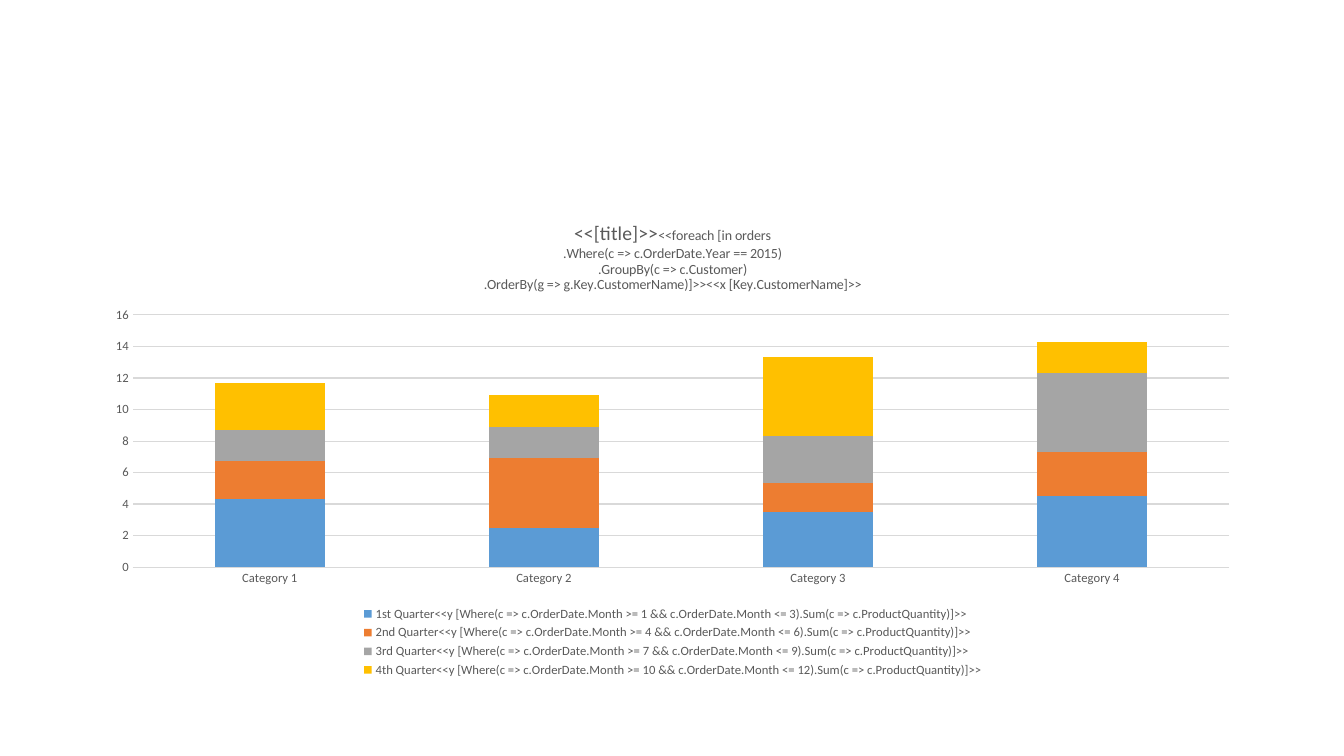
from pptx import Presentation
from pptx.chart.data import CategoryChartData
from pptx.dml.color import RGBColor
from pptx.enum.chart import XL_CHART_TYPE as ChartType
from pptx.enum.chart import XL_LEGEND_POSITION as LegendPosition
from pptx.enum.chart import XL_TICK_MARK as TickMark
from pptx.util import Inches, Pt

TEXT_COLOR = "595959"
LINE_COLOR = "D9D9D9"
CATEGORIES = [f"Category {number}" for number in range(1, 5)]
QUARTERS = [
    ("1st", (4.3, 2.5, 3.5, 4.5), "5B9BD5"),
    ("2nd", (2.4, 4.4, 1.8, 2.8), "ED7D31"),
    ("3rd", (2, 2, 3, 5), "A5A5A5"),
    ("4th", (3, 2, 5, 2), "FFC000"),
]
TITLE_LINES = [
    [("<<[title]>>", 14), ("<<foreach [in orders", 10)],
    [(".Where(c => c.OrderDate.Year == 2015)", 10)],
    [(".GroupBy(c => c.Customer)", 10)],
    [(".OrderBy(g => g.Key.CustomerName)]>><<x [Key.CustomerName]>>", 10)],
]


def rgb(color):
    """Return the colour for a hex string."""
    return RGBColor.from_string(color)


def format_font(font, size=9, color=TEXT_COLOR):
    """Set typeface, size, weight and colour of a font."""
    font.name = "Calibri"
    font.size = Pt(size)
    font.bold = False
    font.color.rgb = rgb(color)


def add_text(paragraph, text, **font_format):
    """Append a formatted run to a paragraph."""
    run = paragraph.add_run()
    run.text = text
    format_font(run.font, **font_format)


def format_line(line):
    """Give a line the pale grey of axis and grid."""
    line.color.rgb = rgb(LINE_COLOR)
    line.width = Pt(0.75)


def quarter_name(index, ordinal):
    """Return the template expression that names a quarter."""
    first, last = 3 * index + 1, 3 * index + 3
    return (f"{ordinal} Quarter<<y [Where(c => c.OrderDate.Month >= {first} && "
            f"c.OrderDate.Month <= {last}).Sum(c => c.ProductQuantity)]>>")


def add_title(chart):
    """Write the chart title line by line."""
    chart.has_title = True
    chart.chart_title.include_in_layout = False
    frame = chart.chart_title.text_frame
    for index, runs in enumerate(TITLE_LINES):
        paragraph = frame.add_paragraph() if index else frame.paragraphs[0]
        for text, size in runs:
            add_text(paragraph, text, size=size)


def format_axes(chart):
    """Style the category and value axes and the gridlines."""
    for axis in (chart.category_axis, chart.value_axis):
        axis.major_tick_mark = axis.minor_tick_mark = TickMark.NONE
        format_font(axis.tick_labels.font)
    format_line(chart.category_axis.format.line)
    value_axis = chart.value_axis
    value_axis.minimum_scale, value_axis.maximum_scale = 0, 16
    value_axis.major_unit = 2
    value_axis.format.line.fill.background()
    format_line(value_axis.major_gridlines.format.line)


def add_legend(chart):
    """Place the legend below the plot."""
    chart.has_legend = True
    chart.legend.position = LegendPosition.BOTTOM
    chart.legend.include_in_layout = False
    format_font(chart.legend.font)


def add_order_chart(slide):
    """Add the stacked column chart of quarterly orders."""
    data = CategoryChartData()
    data.categories = CATEGORIES
    for index, (ordinal, values, _) in enumerate(QUARTERS):
        data.add_series(quarter_name(index, ordinal), values)
    chart = slide.shapes.add_chart(
        ChartType.COLUMN_STACKED, Inches(0.92), Inches(2),
        Inches(11.5), Inches(4.76), data).chart
    format_font(chart.font, size=10, color="000000")
    plot = chart.plots[0]
    plot.gap_width, plot.overlap = 150, 100
    plot.vary_by_categories = False
    for series, (_, _, color) in zip(plot.series, QUARTERS):
        series.format.fill.solid()
        series.format.fill.fore_color.rgb = rgb(color)
    add_title(chart)
    format_axes(chart)
    add_legend(chart)


def main():
    """Build and save the presentation."""
    presentation = Presentation()
    presentation.slide_width = Inches(13.33)
    presentation.slide_height = Inches(7.5)
    slide = presentation.slides.add_slide(presentation.slide_layouts[6])
    add_order_chart(slide)
    presentation.save("out.pptx")


if __name__ == "__main__":
    main()
